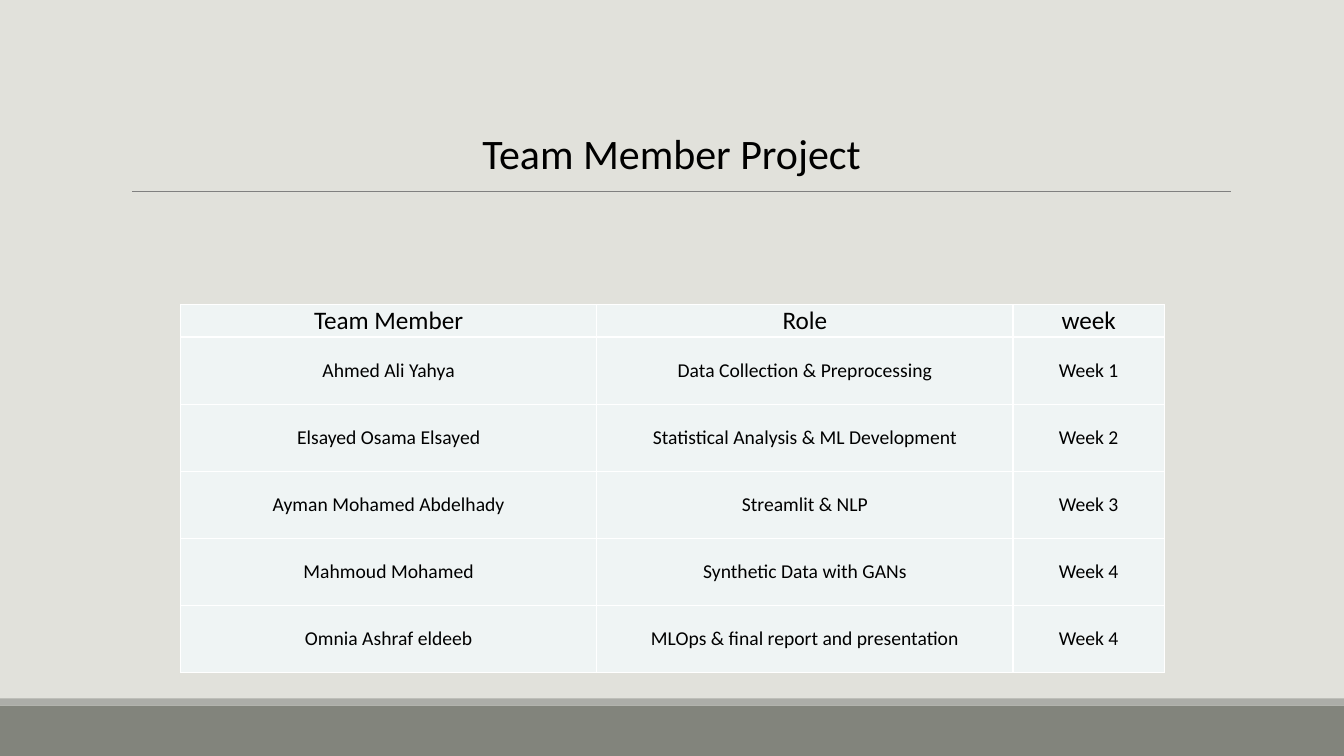
from typing import NamedTuple

from lxml import etree
from pptx import Presentation
from pptx.dml.color import RGBColor
from pptx.enum.shapes import MSO_CONNECTOR, MSO_SHAPE
from pptx.enum.text import MSO_ANCHOR, MSO_AUTO_SIZE, PP_ALIGN
from pptx.oxml.ns import qn
from pptx.util import Cm, Pt

STRAIGHT = MSO_CONNECTOR.STRAIGHT
RECTANGLE = MSO_SHAPE.RECTANGLE
MIDDLE = MSO_ANCHOR.MIDDLE
CENTER = PP_ALIGN.CENTER
FIT_SHAPE = MSO_AUTO_SIZE.SHAPE_TO_FIT_TEXT

FONT = "Calibri"
TITLE_ONLY_LAYOUT = 5
SLIDE_WIDTH, SLIDE_HEIGHT = Cm(33.87), Cm(19.05)
COLUMN_WIDTHS = (10.49, 10.49, 3.81)
HEADER_HEIGHT, MEMBER_HEIGHT = 0.81, 1.69
CELL_MARGIN = Cm(0.03)


class Band(NamedTuple):
    top: float
    height: float
    color: str


class Assignment(NamedTuple):
    member: str
    role: str
    week: str


FOOTER_BANDS = (Band(17.78, 1.27, "82847C"), Band(17.6, 0.18, "ACADA8"))
HEADINGS = Assignment("Team Member", "Role", "week")
ASSIGNMENTS = (
    Assignment("Ahmed Ali Yahya", "Data Collection & Preprocessing", "Week 1"),
    Assignment("Elsayed Osama Elsayed", "Statistical Analysis & ML Development", "Week 2"),
    Assignment("Ayman Mohamed Abdelhady", "Streamlit & NLP", "Week 3"),
    Assignment("Mahmoud Mohamed", "Synthetic Data with GANs", "Week 4"),
    Assignment("Omnia Ashraf eldeeb", "MLOps & final report and presentation", "Week 4"),
)


def rgb(value: str) -> RGBColor:
    return RGBColor.from_string(value)


def write_text(frame, text: str, *, size: float, color: str = "000000", align=CENTER) -> None:
    paragraph = frame.paragraphs[0]
    paragraph.alignment = align
    run = paragraph.add_run()
    run.text = text
    run.font.name = FONT
    run.font.size = Pt(size)
    run.font.color.rgb = rgb(color)


def draw_band(slide, band: Band) -> None:
    bar = slide.shapes.add_shape(RECTANGLE, 0, Cm(band.top), SLIDE_WIDTH, Cm(band.height))
    bar.shadow.inherit = False
    bar.fill.solid()
    bar.fill.fore_color.rgb = rgb(band.color)
    bar.line.fill.background()


def draw_title_rule(slide) -> None:
    rule = slide.shapes.add_connector(STRAIGHT, Cm(3.33), Cm(4.83), Cm(31.01), Cm(4.83))
    rule.line.color.rgb = rgb("808080")
    rule.line.width = Pt(0.5)
    etree.SubElement(rule._element.spPr, qn("a:effectLst"))


def write_title(slide, text: str) -> None:
    title = slide.shapes.title
    title.left, title.top, title.width, title.height = Cm(11.89), Cm(3.07), Cm(10.08), Cm(1.55)
    title.text_frame.word_wrap = False
    title.text_frame.auto_size = FIT_SHAPE
    write_text(title.text_frame, text, size=30)


def add_borders(cell, color: str, width: float) -> None:
    properties = cell._tc.get_or_add_tcPr()
    for side in ("a:lnL", "a:lnR", "a:lnT", "a:lnB"):
        border = etree.SubElement(properties, qn(side), w=str(Pt(width)))
        fill = etree.SubElement(border, qn("a:solidFill"))
        etree.SubElement(fill, qn("a:srgbClr"), val=color)


def fill_cell(cell, text: str, size: float) -> None:
    add_borders(cell, "FFFFFF", 1)
    cell.fill.solid()
    cell.fill.fore_color.rgb = rgb("EFF4F4")
    cell.vertical_anchor = MIDDLE
    cell.margin_left = cell.margin_right = CELL_MARGIN
    cell.margin_top = cell.margin_bottom = CELL_MARGIN
    write_text(cell.text_frame, text, size=size)


def draw_team_table(slide) -> None:
    rows = (HEADINGS, *ASSIGNMENTS)
    height = HEADER_HEIGHT + MEMBER_HEIGHT * len(ASSIGNMENTS)
    team = slide.shapes.add_table(
        len(rows), len(COLUMN_WIDTHS), Cm(4.55), Cm(7.67), Cm(sum(COLUMN_WIDTHS)), Cm(height)
    ).table
    for column, width in zip(team.columns, COLUMN_WIDTHS):
        column.width = Cm(width)
    for row_index, assignment in enumerate(rows):
        is_header = row_index == 0
        team.rows[row_index].height = Cm(HEADER_HEIGHT if is_header else MEMBER_HEIGHT)
        for column_index, text in enumerate(assignment):
            fill_cell(team.cell(row_index, column_index), text, 18 if is_header else 14)


def main() -> None:
    deck = Presentation()
    deck.slide_width, deck.slide_height = SLIDE_WIDTH, SLIDE_HEIGHT
    slide = deck.slides.add_slide(deck.slide_layouts[TITLE_ONLY_LAYOUT])
    slide.background.fill.solid()
    slide.background.fill.fore_color.rgb = rgb("E1E1DB")
    for band in FOOTER_BANDS:
        draw_band(slide, band)
    draw_title_rule(slide)
    draw_team_table(slide)
    write_title(slide, "Team Member Project")
    deck.save("out.pptx")


if __name__ == "__main__":
    main()
